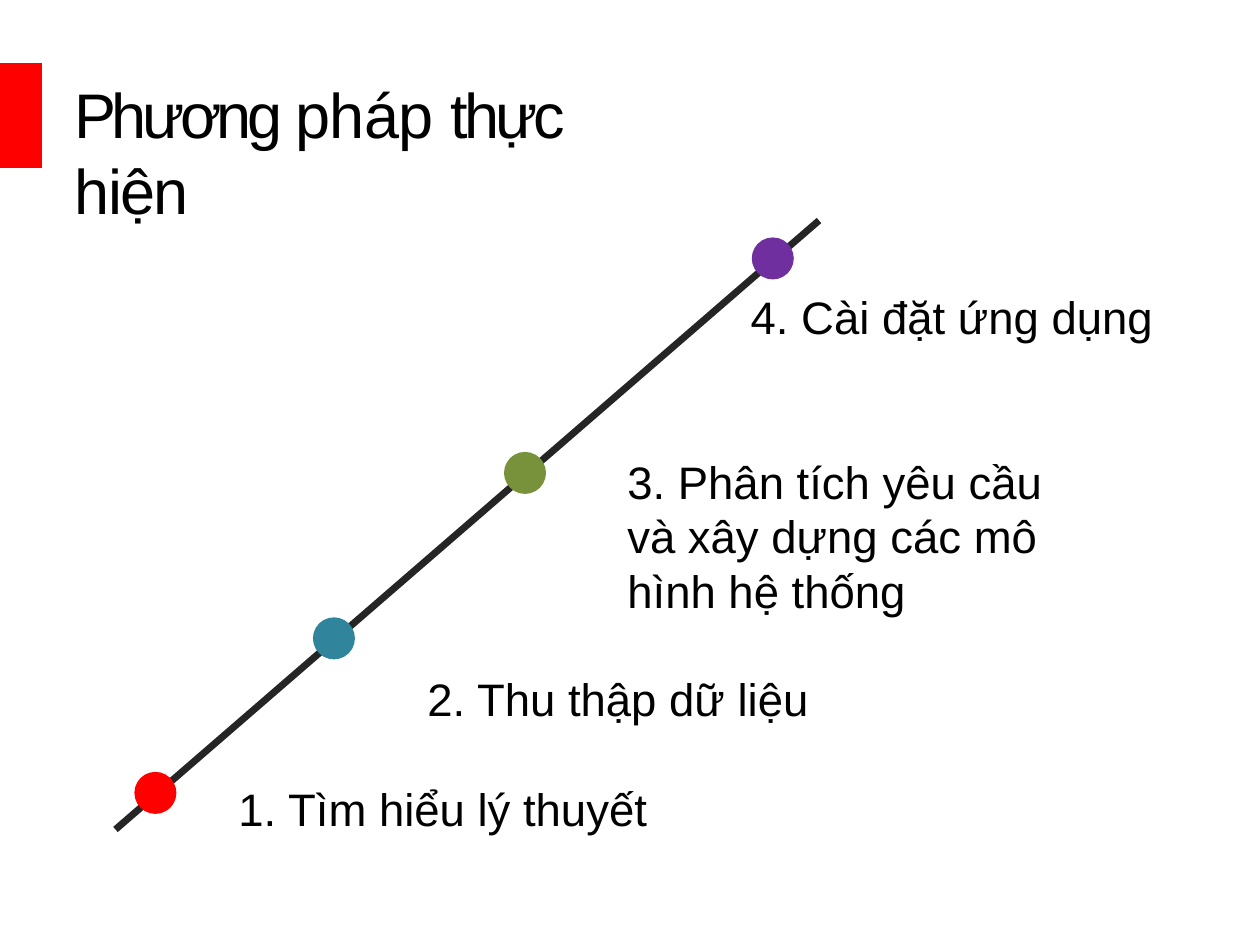
from pptx import Presentation, util as u
from pptx.dml.color import RGBColor
from pptx.enum import shapes, text
from pptx.oxml.ns import qn
from lxml import etree

COLORS = {"text": "000000", "line": "252525", "red": "FF0000", "teal": "30859C",
          "green": "77923B", "purple": "6F2F9F"}


class StepSlide:
    font = "Arial"
    columns, rows = 120, 90

    def __init__(self, presentation):
        self.width, self.height = presentation.slide_width, presentation.slide_height
        self.slide = presentation.slides.add_slide(presentation.slide_layouts[5])

    def x(self, column):
        return u.Emu(round(self.width * column / self.columns))

    def y(self, row):
        return u.Emu(round(self.height * row / self.rows))

    def color(self, name):
        return RGBColor.from_string(COLORS[name])

    def style(self, run, size):
        run.font.name = self.font
        run.font.size = u.Pt(size)
        run.font.color.rgb = self.color("text")

    def frame(self, shape):
        frame = shape.text_frame
        frame.margin_left = frame.margin_right = frame.margin_top = frame.margin_bottom = 0
        frame.word_wrap = True
        frame.auto_size = text.MSO_AUTO_SIZE.NONE
        frame.vertical_anchor = text.MSO_ANCHOR.TOP
        return frame

    def title(self, parts, column, row, columns, rows):
        shape = self.slide.shapes.title
        shape.left, shape.top = self.x(column), self.y(row)
        shape.width, shape.height = self.x(columns), self.y(rows)
        frame = self.frame(shape)
        frame.margin_top = u.Inches(0.01)
        frame.margin_right = u.Inches(0.4)
        paragraph = frame.paragraphs[0]
        paragraph.alignment = text.PP_ALIGN.LEFT
        paragraph.space_before = u.Pt(1)
        for words, spacing in parts:
            run = paragraph.add_run()
            run.text = words
            self.style(run, 36)
            run._r.get_or_add_rPr().set("spc", str(round(spacing * 100)))

    def shape(self, kind, color, column, row, columns, rows):
        shape = self.slide.shapes.add_shape(
            kind, self.x(column), self.y(row), self.x(columns), self.y(rows))
        shape.shadow.inherit = False
        shape.fill.solid()
        shape.fill.fore_color.rgb = self.color(color)
        shape.line.fill.background()

    def line(self, start, end):
        connector = self.slide.shapes.add_connector(
            shapes.MSO_CONNECTOR.STRAIGHT, self.x(start[0]), self.y(start[1]),
            self.x(end[0]), self.y(end[1]))
        connector.line.color.rgb = self.color("line")
        connector.line.width = u.Pt(3.96)
        etree.SubElement(connector._element.spPr, qn("a:effectLst"))

    def label(self, words, column, row, columns, rows):
        shape = self.slide.shapes.add_textbox(
            self.x(column), self.y(row), self.x(columns), self.y(rows))
        paragraph = self.frame(shape).paragraphs[0]
        paragraph.text = words
        self.style(paragraph.runs[0], 26)


presentation = Presentation()
presentation.slide_width, presentation.slide_height = u.Inches(10), u.Inches(7.5)
page = StepSlide(presentation)

page.title([("Phương ", -2.6), ("pháp ", -0.3), ("thực ", -2.2), ("hiện", -0.9)],
           7.1, 7.1, 59.3, 7.6)
page.shape(shapes.MSO_SHAPE.RECTANGLE, "red", 0, 6, 4, 10)

start, end = (11, 79), (78, 21)
page.line(start, end)

steps = [
    ("1. Tìm hiểu lý thuyết", "red", 14.8, (22.7, 74.4, 45, 5)),
    ("2. Thu thập dữ liệu", "teal", 31.8, (40.7, 63.95, 42, 5)),
    ("3. Phân tích yêu cầu và xây dựng các mô hình hệ thống", "green", 50,
     (59.75, 43.2, 43, 15.6)),
    ("4. Cài đặt ứng dụng", "purple", 73.6, (71.5, 27.5, 42, 5)),
]
dot = 4
slope = (end[1] - start[1]) / (end[0] - start[0])
for words, color, center, place in steps:
    middle = start[1] + (center - start[0]) * slope - 0.2
    page.shape(shapes.MSO_SHAPE.OVAL, color, center - dot / 2, middle - dot / 2, dot, dot)
    page.label(words, *place)

presentation.save("out.pptx")
